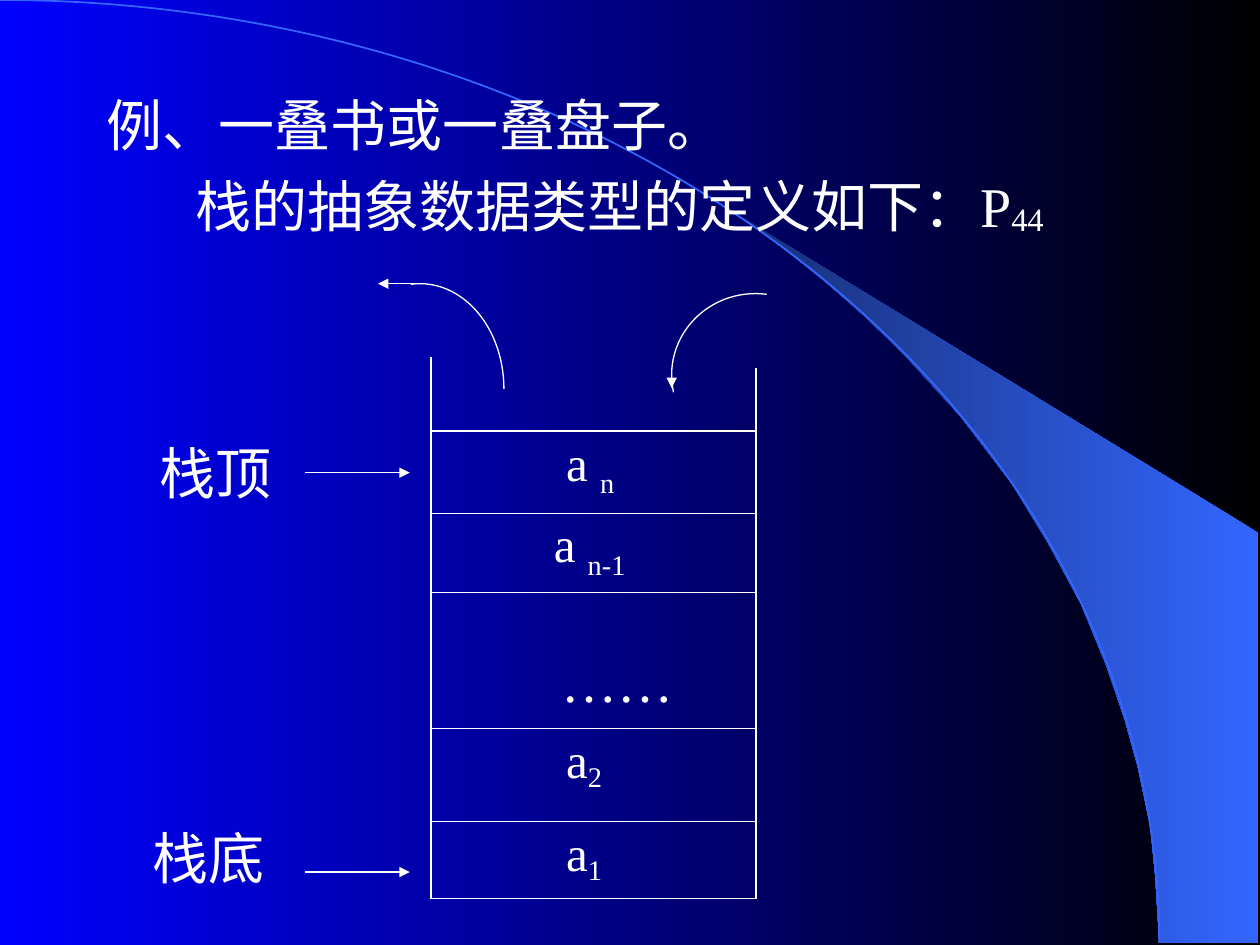
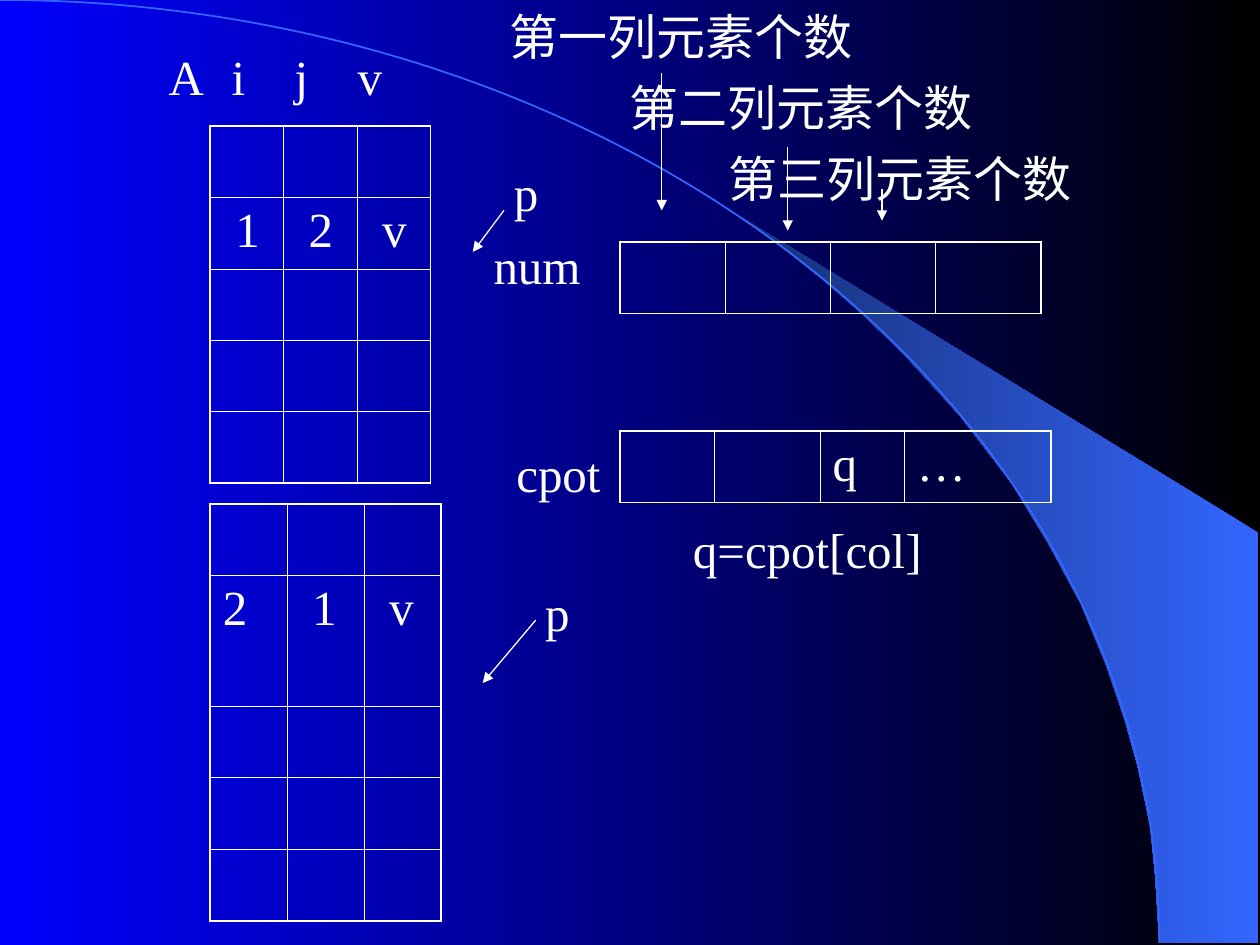
from pptx import Presentation
from pptx.dml.color import RGBColor
from pptx.enum.shapes import MSO_CONNECTOR, MSO_SHAPE
from pptx.enum.text import MSO_ANCHOR, MSO_AUTO_SIZE
from pptx.oxml.ns import qn
from pptx.util import Cm, Pt
from lxml.etree import SubElement

FONT = "Times New Roman"
WHITE, BLACK, BLUE, SKY, NAVY = "FFFFFF", "000000", "0000FF", "3366FF", "172F75"
THIN, THICK = 0.45, 1.08
PLAIN = {"word_wrap": True, "auto_size": MSO_AUTO_SIZE.NONE,
         "vertical_anchor": MSO_ANCHOR.TOP}
BARE = {"first_row": False, "horz_banding": False}

SWOOSH = [(2337, 1900), (2537, 1902), (2537, 1074), (1496, 439), (1585, 505),
          (1659, 564), (1740, 635), (1819, 711), (1935, 838), (2040, 975),
          (2113, 1095), (2179, 1217), (2230, 1341), (2268, 1453),
          (2294, 1547), (2319, 1666), (2329, 1768)]
CURVE = (-23.37, 0, 46.74, 38.02)

STACK = {
    "body": {"at": (1.9, 1.7, 21.6, 15.24), "size": 32, "gap": 8, "lines": [
        {"text": "例、一叠书或一叠盘子。"},
        {"text": "栈的抽象数据类型的定义如下：P_44", "left": 1.78, "drop": -6}]},
    "grids": [
        {"at": (8.69, 8.69), "cols": [6.55], "rows": [1.65, 1.6, 2.74, 1.88, 1.55],
         "cells": {(0, 0): {"text": "a _n", "left": 2.47},
                   (1, 0): {"text": "a _n-1", "left": 2.22},
                   (3, 0): {"text": "a_2", "left": 2.47, "drop": -18},
                   (4, 0): {"text": "a_1", "left": 2.47, "drop": -18}}}],
    "notes": [
        {"at": (11.07, 12.9, 2.9, 1.63), "size": 32, "lines": [{"text": "……"}]},
        {"at": (2.97, 8.71, 2.84, 1.63), "size": 32, "lines": [{"text": "栈顶"}]},
        {"at": (2.54, 16.48, 3.18, 1.63), "size": 32,
         "lines": [{"text": "栈底", "left": 0.28}]}],
    "walls": [((8.69, 7.19, 8.69, 9.53), 0.75),
              ((8.69, 7.42, 8.69, 8.26), 0.75),
              ((15.24, 7.42, 15.24, 9.53), 1.5)],
    "arcs": [((6.78, 5.72, 3.38, 4.24), 265, 0),
             ((13.54, 5.92, 3.38, 3.28), 168, 278)],
    "arrows": [(8.46, 5.72, 7.62, 5.72), (13.54, 7.42, 13.54, 7.82),
               (6.15, 17.58, 8.26, 17.58), (6.15, 9.53, 8.26, 9.53)],
}
MATRIX = {
    "grids": [
        {"at": (4.24, 2.54), "cols": [1.48] * 3, "rows": [1.44] * 5,
         "cells": {(1, 0): {"text": "1", "left": 0.25},
                   (1, 1): {"text": "2", "left": 0.25},
                   (1, 2): {"text": "v", "left": 0.25}}},
        {"at": (12.5, 4.88), "cols": [2.12] * 4, "rows": [1.44], "cells": {}},
        {"at": (12.5, 8.69), "cols": [1.91, 2.12, 1.7, 2.96], "rows": [1.44],
         "cells": {(0, 2): {"text": "q"}, (0, 3): {"text": "…"}}},
        {"at": (4.24, 10.16), "cols": [1.55] * 3,
         "rows": [1.44, 2.64] + [1.44] * 3,
         "cells": {(1, 0): {"text": "2"},
                   (1, 1): {"text": "1", "left": 0.25},
                   (1, 2): {"text": "v", "left": 0.25}}}],
    "notes": [
        {"at": (3.15, 0.81, 6, 1.45),
         "lines": [{"text": "A\ti\tj\tv", "tabs": (1.45, 2.96, 4.72)}]},
        {"at": (10.03, 0, 15.24, 4.32), "gap": 7, "lines": [
            {"text": "第一列元素个数"},
            {"text": "第二列元素个数", "left": 2.42},
            {"text": "第三列元素个数", "left": 4.41}]},
        {"at": (9.7, 4.62, 2.26, 1.45), "lines": [{"text": "num"}]},
        {"at": (10.16, 8.81, 2.34, 1.45), "lines": [{"text": "cpot"}]},
        {"at": (13.72, 10.34, 5.11, 1.45), "lines": [{"text": "q=cpot[col]"}]},
        {"at": (10.11, 3.15, 0.99, 1.45), "lines": [{"text": "p"}]},
        {"at": (10.74, 11.61, 0.99, 1.45), "lines": [{"text": "p"}]}],
    "arrows": [(13.34, 1.47, 13.34, 4.24), (15.88, 2.97, 15.88, 4.65),
               (17.78, 3.81, 17.78, 4.45), (10.16, 4.24, 9.53, 5.08),
               (10.8, 12.5, 9.73, 13.77)],
}


def tint(code):
    """Turn a hex string into a colour."""
    return RGBColor.from_string(code)


def apply(thing, vals):
    """Set each format value on an object."""
    for name, val in vals.items():
        setattr(thing, name, val)


def place(box):
    """Turn a tuple of centimetres into lengths."""
    return [Cm(val) for val in box]


def blend(fill, first, last):
    """Fill with a gradient that runs from right to left."""
    fill.gradient()
    fill.gradient_angle = 180
    for stop, code in zip(fill.gradient_stops, (first, last)):
        stop.color.rgb = tint(code)


def stroke(line, code, width):
    """Give a line its colour and width."""
    line.color.rgb = tint(code)
    line.width = Pt(width)


def write(par, text, size=28, gap=0, left=0, drop=-25, tabs=()):
    """Write a paragraph, lowering the part after an underscore."""
    par.space_before = Pt(gap)
    props = par._p.get_or_add_pPr()
    props.set("marL", str(Cm(left)))
    props.set("indent", "0")
    SubElement(props, qn("a:buNone"))
    if tabs:
        stops = SubElement(props, qn("a:tabLst"))
        for pos in tabs:
            SubElement(stops, qn("a:tab"), pos=str(Cm(pos)), algn="l")
    main, _, sub = text.partition("_")
    for part, base in ((main, 0), (sub, drop)):
        if part:
            run = par.add_run()
            run.text = part
            apply(run.font, {"name": FONT, "size": Pt(size)})
            run.font.color.rgb = tint(WHITE)
            if base:
                run._r.get_or_add_rPr().set("baseline", str(base * 1000))


def fill_text(frame, lines, size=28, gap=0):
    """Write lines into a text frame."""
    apply(frame, PLAIN)
    for num, line in enumerate(lines):
        par = frame.add_paragraph() if num else frame.paragraphs[0]
        write(par, size=size, gap=gap, **line)


def edge(cell, sides):
    """Draw the borders of a cell."""
    props = cell._tc.get_or_add_tcPr()
    for side, width in sides.items():
        line = SubElement(props, qn(f"a:ln{side}"), w=str(Pt(width)))
        fill = SubElement(line, qn("a:solidFill"))
        SubElement(fill, qn("a:srgbClr"), val=WHITE)
    cell.fill.background()


def add_grid(slide, at, cols, rows, cells):
    """Add a table with a thick frame and thin inner lines."""
    box = place((*at, sum(cols), sum(rows)))
    table = slide.shapes.add_table(len(rows), len(cols), *box).table
    apply(table, BARE)
    for col, width in zip(table.columns, cols):
        col.width = Cm(width)
    for row, height in zip(table.rows, rows):
        row.height = Cm(height)
    for y in range(len(rows)):
        for x in range(len(cols)):
            ends = {"L": x == 0, "R": x == len(cols) - 1,
                    "T": y == 0, "B": y == len(rows) - 1}
            cell = table.cell(y, x)
            edge(cell, {key: THICK if end else THIN for key, end in ends.items()})
            if (y, x) in cells:
                write(cell.text_frame.paragraphs[0], **cells[y, x])


def add_line(slide, ends, width=0.75, tip=False):
    """Add a straight line, with an arrowhead if asked."""
    line = slide.shapes.add_connector(MSO_CONNECTOR.STRAIGHT, *place(ends))
    stroke(line.line, WHITE, width)
    if tip:
        SubElement(line.get_or_add_ln(), qn("a:tailEnd"), type="triangle")
    SubElement(line.element.spPr, qn("a:effectLst"))


def add_arc(slide, box, start, end, code=WHITE, width=0.75):
    """Add an open arc between two angles in degrees."""
    arc = slide.shapes.add_shape(MSO_SHAPE.ARC, *place(box))
    for num, angle in enumerate((start, end)):
        arc.adjustments[num] = angle * 0.6
    arc.shadow.inherit = False
    arc.fill.background()
    stroke(arc.line, code, width)
    return arc


def dress(master, slide):
    """Put the gradient, swoosh and curve on the master."""
    blend(master.background.fill, BLACK, BLUE)
    pen = slide.shapes.build_freeform(*SWOOSH[0], scale=Cm(0.01))
    pen.add_line_segments(SWOOSH[1:], close=True)
    wing = pen.convert_to_shape()
    wing.shadow.inherit = False
    blend(wing.fill, SKY, NAVY)
    wing.line.fill.background()
    curve = add_arc(slide, CURVE, 270, 0, SKY, 1)
    for shape in (wing, curve):
        master.shapes.element.append(shape.element)


def draw(slide, data):
    """Draw all parts of a slide."""
    if "body" in data:
        body = dict(data["body"])
        title = slide.shapes.title.element
        title.getparent().remove(title)
        holder = slide.placeholders[1]
        apply(holder, dict(zip(("left", "top", "width", "height"),
                               place(body.pop("at")))))
        fill_text(holder.text_frame, **body)
    for grid in data["grids"]:
        add_grid(slide, **grid)
    for note in data["notes"]:
        rest = dict(note)
        box = slide.shapes.add_textbox(*place(rest.pop("at")))
        fill_text(box.text_frame, **rest)
    for ends, width in data.get("walls", []):
        add_line(slide, ends, width)
    for arc in data.get("arcs", []):
        add_arc(slide, *arc)
    for ends in data["arrows"]:
        add_line(slide, ends, tip=True)


def main():
    """Build and save the slides."""
    deck = Presentation()
    apply(deck, {"slide_width": Cm(25.4), "slide_height": Cm(19.05)})
    for num, data in enumerate((STACK, MATRIX)):
        slide = deck.slides.add_slide(deck.slide_layouts[1 if "body" in data else 6])
        if num == 0:
            dress(deck.slide_master, slide)
        draw(slide, data)
    deck.save("out.pptx")


if __name__ == "__main__":
    main()
